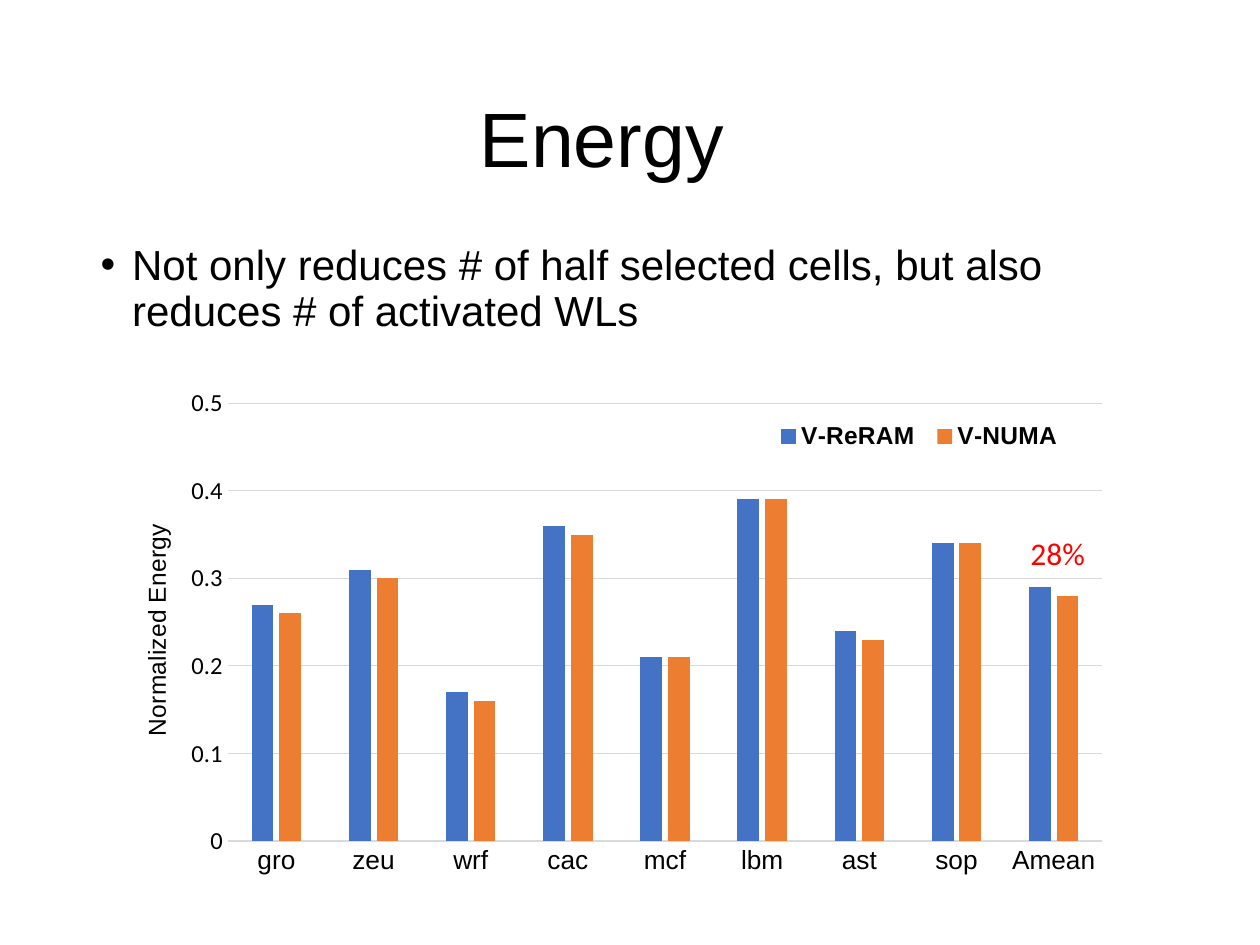
from lxml import etree
from pptx import Presentation
from pptx.chart.data import CategoryChartData
from pptx.dml.color import RGBColor
from pptx.enum.chart import XL_CHART_TYPE, XL_LEGEND_POSITION, XL_TICK_MARK
from pptx.oxml import parse_xml
from pptx.oxml.ns import nsdecls, qn
from pptx.util import Inches, Pt

COLUMNS = XL_CHART_TYPE.COLUMN_CLUSTERED
LEGEND_BOTTOM = XL_LEGEND_POSITION.BOTTOM
NO_TICK = XL_TICK_MARK.NONE

BLACK = RGBColor(0x00, 0x00, 0x00)
RED = RGBColor(0xFF, 0x00, 0x00)
GRAY = RGBColor(0xD9, 0xD9, 0xD9)
BLUE = RGBColor(0x44, 0x72, 0xC4)
ORANGE = RGBColor(0xED, 0x7D, 0x31)

BENCHMARKS = ["gro", "zeu", "wrf", "cac", "mcf", "lbm", "ast", "sop", "Amean"]
ENERGY = [
    ("V-ReRAM", BLUE, [0.27, 0.31, 0.17, 0.36, 0.21, 0.39, 0.24, 0.34, 0.29]),
    ("V-NUMA", ORANGE, [0.26, 0.3, 0.16, 0.35, 0.21, 0.39, 0.23, 0.34, 0.28]),
]


def style_font(font, size, name="Arial", color=BLACK, bold=False):
    """Set size, typeface, colour and weight of a font."""
    font.size = Pt(size)
    font.name = name
    font.color.rgb = color
    font.bold = bold


def style_line(line):
    """Draw a thin gray chart line."""
    line.color.rgb = GRAY
    line.width = Pt(0.75)


def add_text(page, place, text, size, name="Arial", color=BLACK, wrap=True):
    """Add a one-paragraph text box and return its paragraph."""
    box = page.shapes.add_textbox(*[Inches(length) for length in place])
    box.text_frame.word_wrap = wrap
    box.text_frame.text = text
    para = box.text_frame.paragraphs[0]
    style_font(para.runs[0].font, size, name, color)
    return para


def make_bullet(para):
    """Turn a paragraph into a bullet with a hanging indent."""
    para.line_spacing = 0.9
    para.space_before = Pt(10)
    properties = para._p.get_or_add_pPr()
    properties.set("marL", str(Inches(0.25)))
    properties.set("indent", str(-Inches(0.25)))
    font = etree.SubElement(properties, qn("a:buFont"))
    font.set("typeface", "Arial")
    etree.SubElement(properties, qn("a:buChar")).set("char", "•")


def set_layout(element, inner=False, **fractions):
    """Place a chart part at fractions (x, y, w, h) of the chart area."""
    for old in element.findall(qn("c:layout")):
        element.remove(old)
    target = '<c:layoutTarget val="inner"/>' if inner else ""
    modes = "".join(f'<c:{key}Mode val="edge"/>' for key in "xy")
    values = "".join(f'<c:{key} val="{value}"/>' for key, value in fractions.items())
    layout = parse_xml(
        f'<c:layout {nsdecls("c")}><c:manualLayout>{target}{modes}{values}'
        "</c:manualLayout></c:layout>"
    )
    if inner:
        element.insert(0, layout)
    else:
        before = element.find(qn("c:overlay"))
        before.addprevious(layout)


def style_axes(chart):
    """Format the benchmark axis and the energy axis."""
    benchmarks, energy = chart.category_axis, chart.value_axis
    for axis in (benchmarks, energy):
        axis.major_tick_mark = NO_TICK
        axis.minor_tick_mark = NO_TICK
    style_font(benchmarks.tick_labels.font, 15)
    style_line(benchmarks.format.line)

    style_font(energy.tick_labels.font, 14, "Calibri")
    energy.tick_labels.number_format = "General"
    energy.tick_labels.number_format_is_linked = False
    energy.format.line.fill.background()
    energy.minimum_scale = 0
    energy.maximum_scale = 0.5
    energy.major_unit = 0.1
    style_line(energy.major_gridlines.format.line)

    title = energy.axis_title
    title.text_frame.text = "Normalized Energy"
    style_font(title.text_frame.paragraphs[0].runs[0].font, 14)
    overlay = etree.SubElement(title._element, qn("c:overlay"))
    overlay.set("val", "0")
    for extra in title._element.findall(qn("c:overlay"))[:-1]:
        title._element.remove(extra)
    set_layout(title._element, x=0.03, y=0.26)


def add_energy_chart(page):
    """Add the clustered columns of normalized energy."""
    data = CategoryChartData()
    data.categories = BENCHMARKS
    for name, _, values in ENERGY:
        data.add_series(name, values)
    place = [Inches(length) for length in (0.84, 2.98, 8.07, 4.4)]
    chart = page.shapes.add_chart(COLUMNS, *place, data).chart
    style_font(chart.font, 10, "Calibri")
    chart.has_title = False

    plot = chart.plots[0]
    plot.gap_width = 219
    plot.overlap = -27
    plot.vary_by_categories = False
    for series, (_, color, _) in zip(plot.series, ENERGY):
        series.format.fill.solid()
        series.format.fill.fore_color.rgb = color
    style_axes(chart)

    chart.has_legend = True
    chart.legend.position = LEGEND_BOTTOM
    chart.legend.include_in_layout = False
    style_font(chart.legend.font, 14, bold=True)
    set_layout(chart.legend._element, x=0.65, y=0.07, w=0.3, h=0.08)
    plot_area = chart._chartSpace.chart.plotArea
    set_layout(plot_area, inner=True, x=0.12, y=0.05, w=0.86, h=0.79)


def main():
    """Build the energy slide."""
    deck = Presentation()
    deck.slide_width = Inches(10)
    deck.slide_height = Inches(7.5)
    page = deck.slides.add_slide(deck.slide_layouts[6])
    add_text(page, (3.71, 0.67, 4.06, 0.84), "Energy", 44)
    add_energy_chart(page)
    make_bullet(add_text(
        page, (0.7, 1.89, 8.81, 0.98),
        "Not only reduces # of half selected cells, "
        "but also reduces # of activated WLs", 24))
    add_text(page, (8.08, 4.19, 0.64, 0.4), "28%", 18, "Calibri", RED, wrap=False)
    deck.save("out.pptx")


main()
